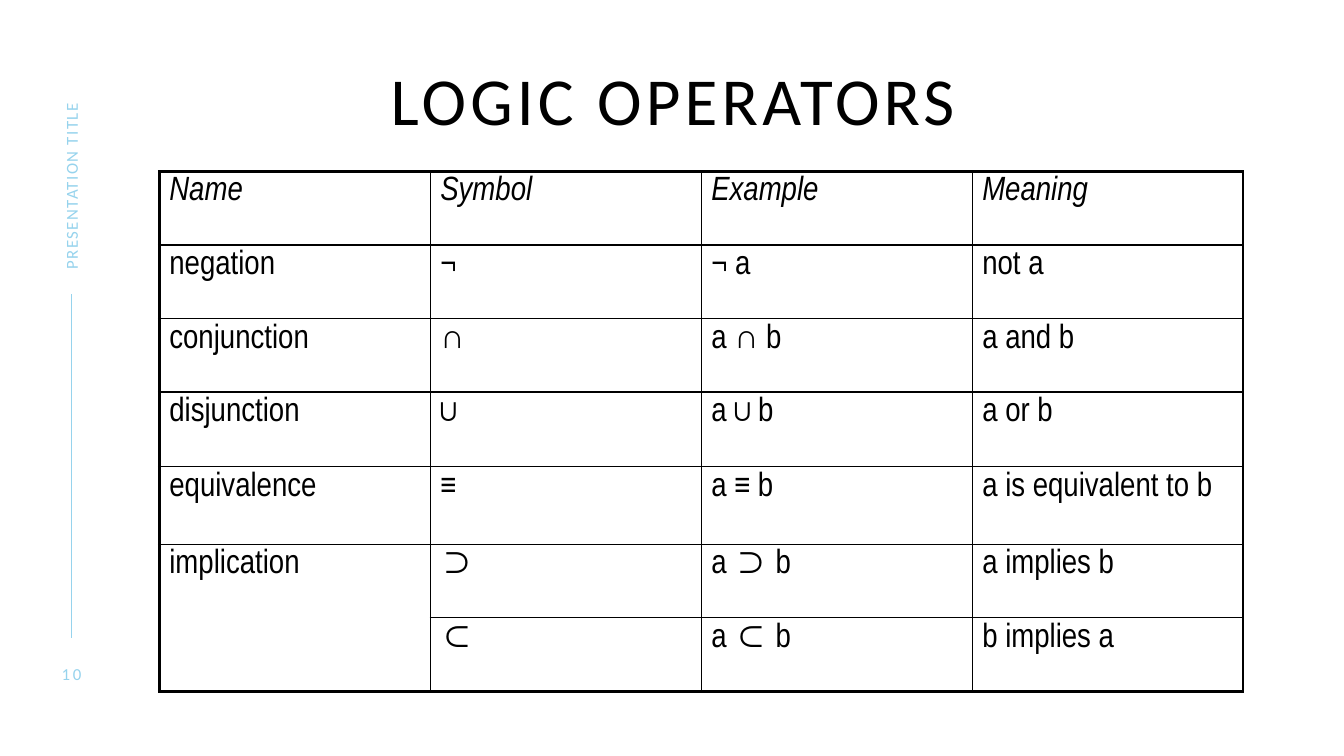
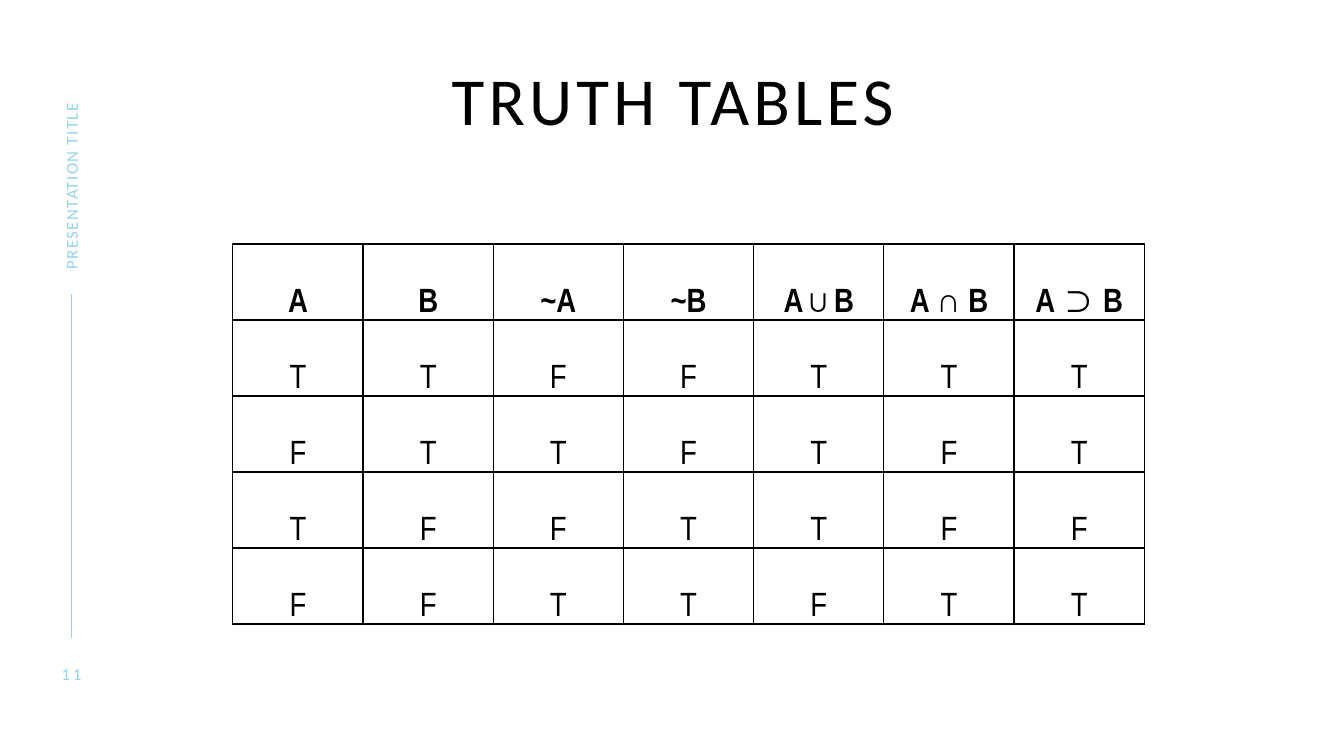
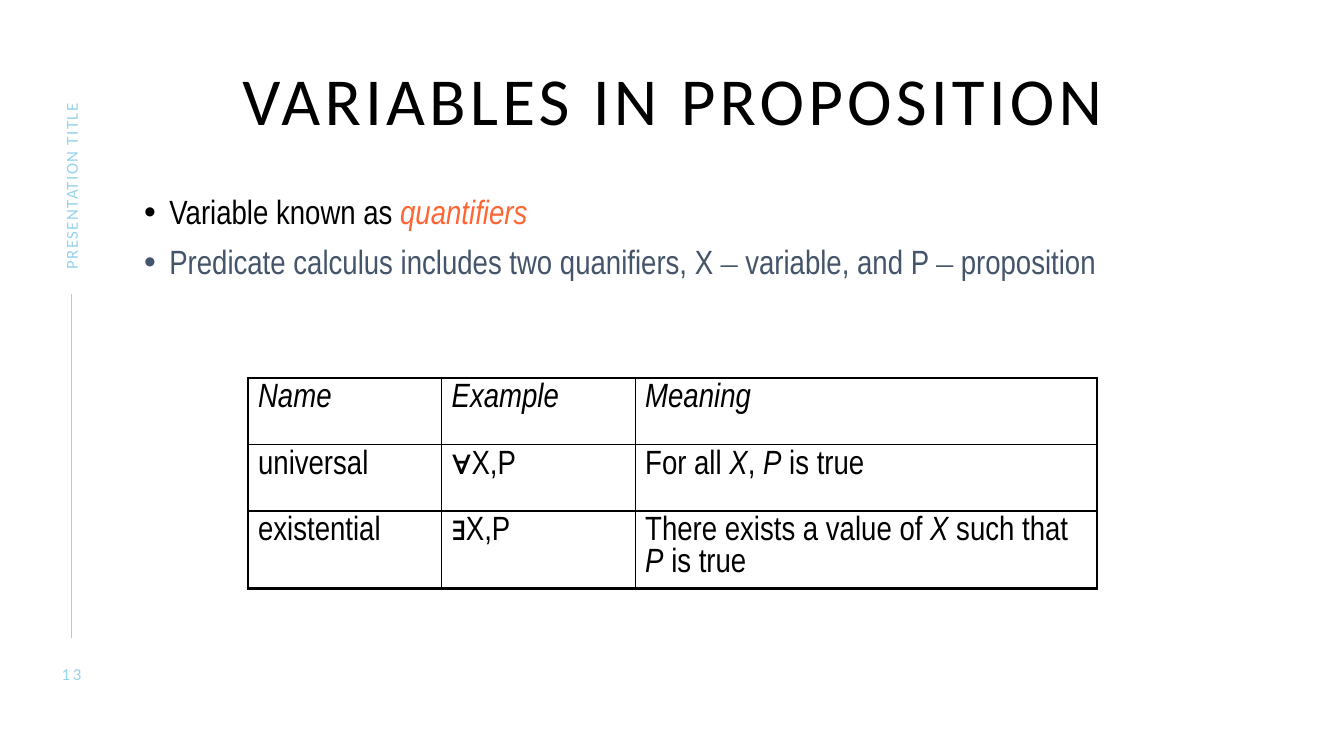
"""Build three slides on logic operators, truth tables and quantifiers."""
from lxml.etree import SubElement
from pptx import Presentation
from pptx.dml.color import RGBColor
from pptx.enum.shapes import MSO_CONNECTOR
from pptx.enum.text import MSO_ANCHOR, MSO_AUTO_SIZE, PP_ALIGN
from pptx.oxml.ns import qn
from pptx.util import Inches, Pt

BLACK, SKY, SLATE, ORANGE = "000000", "96D3ED", "44546A", "FF6633"
BODY_FONT, TITLE_FONT, DASH_FONT = "Arial Narrow", "Calibri", "Times New Roman"
ITALIC, BOLD = {"italic": True}, {"bold": True}
SLATE_TEXT = {"color": SLATE}
SLATE_DASH = {"color": SLATE, "font": DASH_FONT}
FOOTER = "PRESENTATION TITLE"

OPERATORS = [
    ("Name", "Symbol", "Example", "Meaning"),
    ("negation", "¬", "¬ a", "not a"),
    ("conjunction", "∩", "a ∩ b", "a and b"),
    ("disjunction", "∪", "a ∪ b", "a or b"),
    ("equivalence", "≡", "a ≡ b", "a is equivalent to b"),
    ("implication", "⊃", "a ⊃ b", "a implies b"),
    ("", "⊂", "a ⊂ b", "b implies a"),
]
TRUTH_VALUES = [
    ("A", "B", "~A", "~B", "A ∪ B", "A ∩ B", "A ⊃ B"),
    *("TTFFTTT", "FTTFTFT", "TFFTTFF", "FFTTFTT"),
]
QUANTIFIERS = [
    ("Name", "Example", "Meaning"),
    ("universal", "∀X,P",
     [("For all ", {}), ("X", ITALIC), (", ", {}), ("P", ITALIC), (" is true", {})]),
    ("existential", "∃X,P",
     [("There exists a value of ", {}), ("X ", ITALIC), ("such that ", {}),
      ("P", ITALIC), (" is true", {})]),
]
BULLETS = [
    [("Variable known as ", {}), ("quantifiers", {"color": ORANGE, "italic": True})],
    [("Predicate calculus includes two quanifiers, X ", SLATE_TEXT), ("–", SLATE_DASH),
     (" variable, and P ", SLATE_TEXT), ("–", SLATE_DASH), (" proposition", SLATE_TEXT)],
]


def rgb(value):
    """Turn a hex string into a colour."""
    return RGBColor.from_string(value)


def add_run(paragraph, text, size=24, font=BODY_FONT, color=BLACK,
            bold=False, italic=False, spacing=0):
    """Add one formatted run to a paragraph."""
    run = paragraph.add_run()
    run.text = text
    run.font.size = Pt(size)
    run.font.name = font
    run.font.color.rgb = rgb(color)
    run.font.bold = bold
    run.font.italic = italic
    if spacing:
        run.font._element.set("spc", str(spacing * 100))


def clear_frame(shape, anchor):
    """Prepare a text frame without margins and return it."""
    frame = shape.text_frame
    frame.margin_left = frame.margin_top = frame.margin_right = frame.margin_bottom = 0
    frame.word_wrap = True
    frame.auto_size = MSO_AUTO_SIZE.NONE
    frame.vertical_anchor = anchor
    return frame


def add_side_label(slide, text, left, top, width, height, align, spacing, rotation=0):
    """Add a small label in the left margin."""
    label = slide.shapes.add_textbox(Inches(left), Inches(top), Inches(width), Inches(height))
    label.rotation = rotation
    paragraph = clear_frame(label, MSO_ANCHOR.MIDDLE).paragraphs[0]
    paragraph.alignment = align
    add_run(paragraph, text, 12, TITLE_FONT, SKY, spacing=spacing)


def add_slide(presentation, title, number):
    """Add a slide with the shared title, margin line and labels."""
    slide = presentation.slides.add_slide(presentation.slide_layouts[5])
    heading = slide.shapes.title
    heading.left, heading.top = Inches(1.3), Inches(0.67)
    heading.width, heading.height = Inches(10.75), Inches(1)
    paragraph = clear_frame(heading, MSO_ANCHOR.TOP).paragraphs[0]
    paragraph.alignment = PP_ALIGN.CENTER
    paragraph.line_spacing = 0.9
    add_run(paragraph, title, 48, TITLE_FONT, spacing=3)

    line = slide.shapes.add_connector(
        MSO_CONNECTOR.STRAIGHT, Inches(0.71), Inches(2.92), Inches(0.71), Inches(6.33))
    line.line.color.rgb = rgb(SKY)
    line.line.width = Pt(1)
    SubElement(line._element.spPr, qn("a:effectLst"))

    add_side_label(slide, str(number), 0.46, 6.58, 0.5, 0.2, PP_ALIGN.CENTER, 2)
    add_side_label(slide, FOOTER, -0.27, 1.59, 1.95, 0.21, PP_ALIGN.LEFT, 1, 270)
    return slide


def set_borders(cell, weights):
    """Draw the left, right, top and bottom borders of a cell."""
    properties = cell._tc.get_or_add_tcPr()
    for side, weight in zip("LRTB", weights):
        border = SubElement(properties, qn(f"a:ln{side}"), w=str(Pt(weight)))
        fill = SubElement(border, qn("a:solidFill"))
        SubElement(fill, qn("a:srgbClr"), val=BLACK)


def add_grid(slide, rows, left, top, widths, heights, header, outer=2.25,
             margins=(0.1, 0.05, 0.1, 0.05), anchor=MSO_ANCHOR.TOP,
             align=PP_ALIGN.LEFT, merge=None):
    """Add a ruled table whose outer border may be heavier."""
    table = slide.shapes.add_table(
        len(rows), len(widths), Inches(left), Inches(top),
        Inches(sum(widths)), Inches(sum(heights))).table
    table.first_row = table.horz_banding = False
    for column, width in zip(table.columns, widths):
        column.width = Inches(width)
    for row, height in zip(table.rows, heights):
        row.height = Inches(height)
    if merge:
        first, last = merge
        table.cell(*first).merge(table.cell(*last))
    for row_index, row in enumerate(rows):
        for column_index, content in enumerate(row):
            cell = table.cell(row_index, column_index)
            if cell.is_spanned:
                continue
            last_row = row_index + (cell.span_height if cell.is_merge_origin else 1)
            edges = (column_index == 0, column_index == len(widths) - 1,
                     row_index == 0, last_row == len(rows))
            set_borders(cell, [outer if edge else 1 for edge in edges])
            cell.fill.background()
            (cell.margin_left, cell.margin_top,
             cell.margin_right, cell.margin_bottom) = map(Inches, margins)
            cell.vertical_anchor = anchor
            paragraph = cell.text_frame.paragraphs[0]
            paragraph.alignment = align
            if isinstance(content, str):
                content = [(content, {} if row_index else header)]
            for text, style in content:
                add_run(paragraph, text, **style)


def add_bullets(slide, bullets):
    """Add the bulleted text below the title."""
    box = slide.shapes.add_textbox(Inches(1.43), Inches(1.94), Inches(11.3), Inches(5.08))
    frame = clear_frame(box, MSO_ANCHOR.TOP)
    for index, runs in enumerate(bullets):
        paragraph = frame.add_paragraph() if index else frame.paragraphs[0]
        properties = paragraph._p.get_or_add_pPr()
        properties.set("marL", str(Inches(0.25)))
        properties.set("indent", str(Inches(-0.25)))
        SubElement(properties, qn("a:buFont"), typeface="Arial")
        SubElement(properties, qn("a:buChar"), char="•")
        paragraph.line_spacing = 0.9
        if index:
            paragraph.space_before = Pt(10)
        for text, style in runs:
            add_run(paragraph, text, **style)


def main():
    """Build and save the presentation."""
    presentation = Presentation()
    presentation.slide_width, presentation.slide_height = Inches(13.33), Inches(7.5)

    slide = add_slide(presentation, "LOGIC OPERATORS", 10)
    add_grid(slide, OPERATORS, 1.58, 1.7, [10.75 / 4] * 4,
             [0.73, 0.73, 0.73, 0.74, 0.77, 0.73, 0.73], ITALIC, merge=((5, 0), (6, 0)))

    slide = add_slide(presentation, "TRUTH TABLES", 11)
    add_grid(slide, TRUTH_VALUES, 2.31, 2.42, [9.04 / 7] * 7, [3.77 / 5] * 5, BOLD,
             outer=1, margins=(0.01, 0.01, 0.01, 0), anchor=MSO_ANCHOR.BOTTOM,
             align=PP_ALIGN.CENTER)

    slide = add_slide(presentation, "VARIABLES IN PROPOSITION", 13)
    add_bullets(slide, BULLETS)
    add_grid(slide, QUANTIFIERS, 2.46, 3.75, [1.92, 1.92, 4.58], [0.66, 0.66, 0.77], ITALIC)

    presentation.save("out.pptx")


if __name__ == "__main__":
    main()
